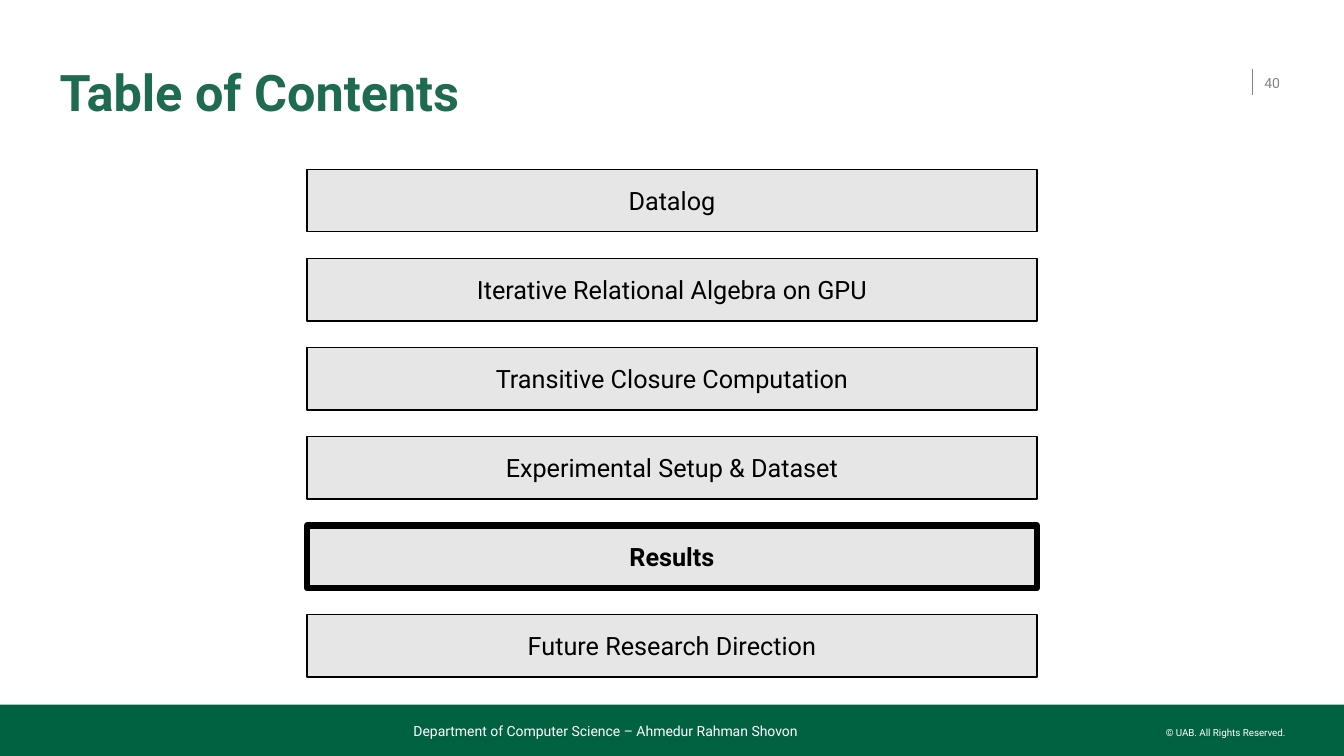
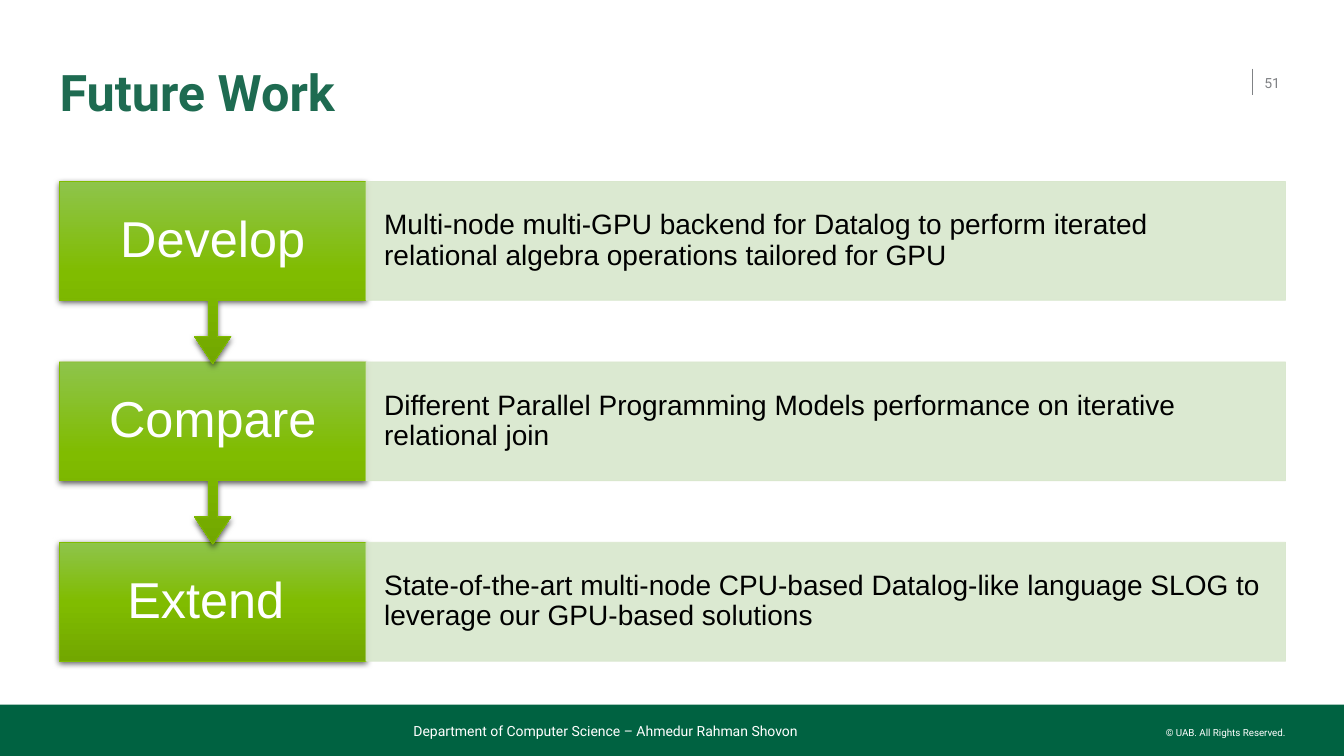
from copy import deepcopy

from pptx import Presentation
from pptx.dml.color import RGBColor
from pptx.enum.shapes import MSO_CONNECTOR, MSO_SHAPE
from pptx.enum.text import MSO_ANCHOR, MSO_AUTO_SIZE, PP_ALIGN
from pptx.oxml.ns import qn
from pptx.oxml.xmlchemy import OxmlElement
from pptx.util import Inches, Pt

WIDTH, HEIGHT = Inches(13.33), Inches(7.5)
MARGIN = Inches(0.59)
RIGHT_EDGE = Inches(12.75)
color = RGBColor.from_string


def write(holder, text, size, ink, font="Roboto", bold=False, align=PP_ALIGN.LEFT,
          anchor=MSO_ANCHOR.MIDDLE, inset=(0, 0), spacing=1.0, wrap=True):
    frame = holder.text_frame
    frame.auto_size = MSO_AUTO_SIZE.NONE
    frame.word_wrap = wrap
    frame.vertical_anchor = anchor
    frame.margin_left = frame.margin_right = Inches(inset[0])
    frame.margin_top = frame.margin_bottom = Inches(inset[1])
    frame.text = text
    paragraph = frame.paragraphs[0]
    paragraph.alignment = align
    paragraph.line_spacing = spacing
    paragraph.font.name = font
    paragraph.font.size = Pt(size)
    paragraph.font.bold = bold
    paragraph.font.color.rgb = color(ink)


def add_block(slide, kind, left, top, width, height, fill, line, weight):
    block = slide.shapes.add_shape(kind, left, top, width, height)
    block.shadow.inherit = False
    block.fill.solid()
    block.fill.fore_color.rgb = color(fill)
    block.line.color.rgb = color(line)
    block.line.width = Pt(weight)
    return block


deck = Presentation()
deck.slide_width, deck.slide_height = WIDTH, HEIGHT
layout = deck.slide_layouts.get_by_name("Title Only")
for placeholder in list(layout.placeholders):
    if placeholder.placeholder_format.idx:
        layout.shapes.element.remove(placeholder.element)
heading = layout.placeholders[0]
heading.left, heading.top = MARGIN, Inches(0.52)
heading.width, heading.height = Inches(11.63), Inches(0.84)

contents, future = [deck.slides.add_slide(layout) for _ in range(2)]

rule = contents.shapes.add_connector(
    MSO_CONNECTOR.STRAIGHT, Inches(12.42), Inches(0.68), Inches(12.42), Inches(0.94))
rule.line.color.rgb = color("808285")
rule.line.width = Pt(1)
rule.element.spPr.append(OxmlElement("a:effectLst"))
band = add_block(contents, MSO_SHAPE.RECTANGLE, 0, Inches(6.99), WIDTH, HEIGHT - Inches(6.99),
                 "006241", "006241", 1)
band.line.fill.background()
rights = contents.shapes.add_textbox(Inches(11.55), Inches(7.21), Inches(1.2), Inches(0.12))
write(rights, "© UAB. All Rights Reserved.", 7, "FFFFFF", align=PP_ALIGN.RIGHT,
      anchor=MSO_ANCHOR.TOP, wrap=False)
department = contents.shapes.add_textbox(Inches(4.1), Inches(7.11), Inches(7.08), Inches(0.23))
write(department, "Department of Computer Science – Ahmedur Rahman Shovon", 10, "FFFFFF",
      anchor=MSO_ANCHOR.BOTTOM)
for shared in (rule, band, rights, department):
    layout.shapes.element.append(shared.element)

for slide, title, number in ((contents, "Table of Contents", "40"), (future, "Future Work", "51")):
    write(slide.shapes.title, title, 36, "1E6B51", bold=True, spacing=0.9)
    page = slide.shapes.add_textbox(Inches(12.54), Inches(0.62), Inches(0.33), Inches(0.4))
    write(page, number, 10, "808285", inset=(0, 0.05))

topics = [
    "Datalog",
    "Iterative Relational Algebra on GPU",
    "Transitive Closure Computation",
    "Experimental Setup & Dataset",
    "Results",
    "Future Research Direction",
]
current = "Results"
topic_width = Inches(7.24)
topic_top, topic_pitch = Inches(1.68), Inches(5.3 / 6)
for row, topic in enumerate(topics):
    entry = add_block(contents, MSO_SHAPE.RECTANGLE, (WIDTH - topic_width) // 2,
                      topic_top + row * topic_pitch, topic_width, Inches(0.62),
                      "E7E6E6", "000000", 4.5 if topic == current else 1)
    write(entry, topic, 18, "000000", bold=topic == current, align=PP_ALIGN.CENTER,
          inset=(0.1, 0.05))

steps = [
    ("Develop", "Multi-node multi-GPU backend for Datalog to perform iterated "
                "relational algebra operations tailored for GPU"),
    ("Compare", "Different Parallel Programming Models performance on iterative relational join"),
    ("Extend ", "State-of-the-art multi-node CPU-based Datalog-like language SLOG to "
                "leverage our GPU-based solutions"),
]
step_top, step_pitch = Inches(1.8), Inches(1.79)
step_height, callout_height = Inches(1.18), Inches(1.81)
verb_width = (RIGHT_EDGE - MARGIN) // 4
last = len(steps) - 1
for row, (verb, goal) in reversed(list(enumerate(steps))):
    top = step_top + row * step_pitch
    kind, height = MSO_SHAPE.DOWN_ARROW_CALLOUT, callout_height
    if row == last:
        kind, height = MSO_SHAPE.RECTANGLE, step_height
    action = add_block(future, kind, MARGIN, top, verb_width, height, "80BC00", "80BC00", 0.5)
    for index, share in enumerate((0.05, 0.1, 0.15, 0.65) if row < last else ()):
        action.adjustments[index] = share
    action.fill.gradient()
    action.fill.gradient_angle = 270
    stops = action.element.spPr.find(qn("a:gradFill")).find(qn("a:gsLst"))
    stops.insert(1, deepcopy(stops[0]))
    for stop, position, shade in zip(action.fill.gradient_stops, (0, 0.5, 1),
                                     ("8EC44B", "80BC00", "72A700")):
        stop.position = position
        stop.color.rgb = color(shade)
    shadow = OxmlElement("a:outerShdw")
    for key, value in (("blurRad", Pt(4.5)), ("dist", Pt(1.5)), ("dir", 90 * 60000),
                       ("rotWithShape", 0)):
        shadow.set(key, str(int(value)))
    black = OxmlElement("a:srgbClr")
    black.set("val", "000000")
    opacity = OxmlElement("a:alpha")
    opacity.set("val", "63000")
    black.append(opacity)
    shadow.append(black)
    action.element.spPr.find(qn("a:effectLst")).append(shadow)
    write(action, verb, 36, "FFFFFF", font="Arial", align=PP_ALIGN.CENTER,
          inset=(0.22, 0.28), spacing=0.9)

    panel = add_block(future, MSO_SHAPE.RECTANGLE, MARGIN + verb_width, top,
                      RIGHT_EDGE - MARGIN - verb_width, step_height, "D8E7CC", "D8E7CC", 0.5)
    for pale in list(panel.element.spPr.iter(qn("a:srgbClr"))):
        opacity = OxmlElement("a:alpha")
        opacity.set("val", "90000")
        pale.append(opacity)
    write(panel, goal, 20, "000000", font="Arial", inset=(0.18, 0.28), spacing=0.9)

deck.save("out.pptx")
